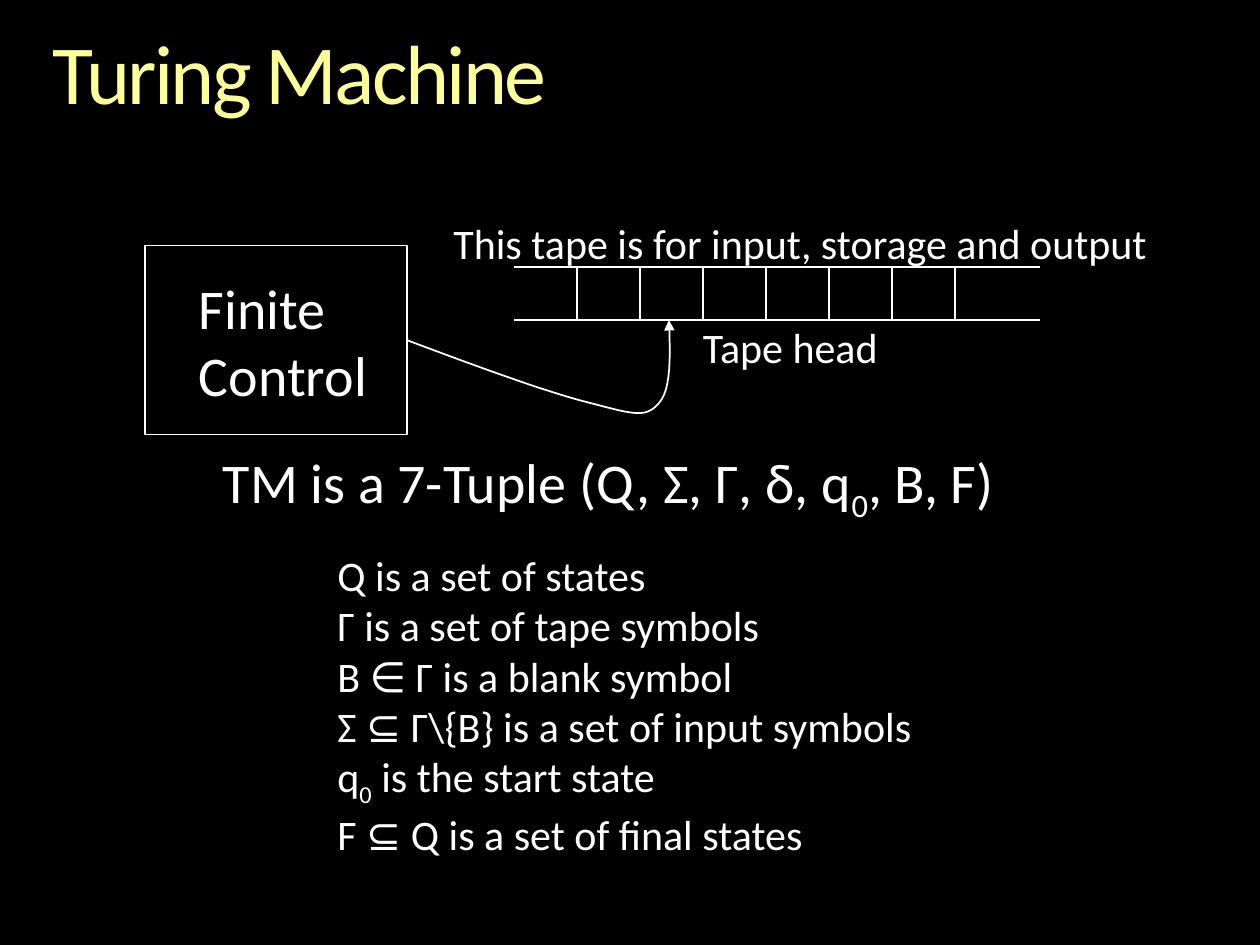
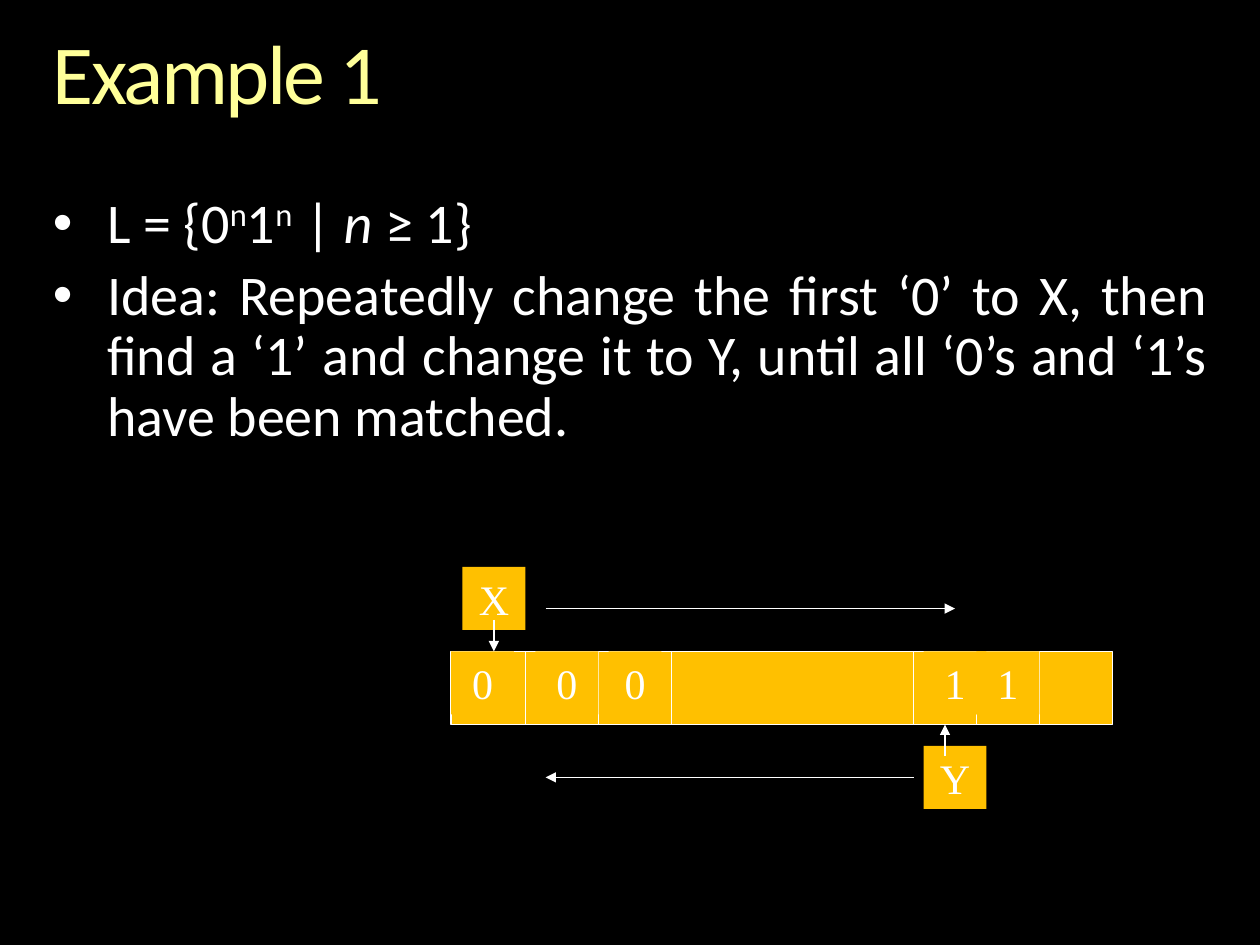
"""Two slides on Turing machines: the definition and a first example."""
from lxml.etree import SubElement
from pptx import Presentation
from pptx.dml.color import RGBColor
from pptx.enum.shapes import MSO_CONNECTOR, MSO_SHAPE
from pptx.enum.text import MSO_ANCHOR, MSO_AUTO_SIZE, PP_ALIGN
from pptx.oxml.ns import qn
from pptx.util import Inches, Pt

COLORS = {
    name: RGBColor.from_string(value)
    for name, value in {
        "background": "000000",
        "title": "FFFF99",
        "ink": "FFFFFF",
        "cell": "FFC000",
    }.items()
}
SUB, SUPER = -25000, 30000


def write(frame, paragraphs, size, font="Calibri"):
    """Fill a frame; each paragraph is a string or a list of (text, baseline)."""
    frame.word_wrap = True
    for number, parts in enumerate(paragraphs):
        paragraph = frame.paragraphs[0] if number == 0 else frame.add_paragraph()
        for text, baseline in [(parts, 0)] if isinstance(parts, str) else parts:
            run = paragraph.add_run()
            run.text = text
            run.font.size = Pt(size)
            run.font.name = font
            run.font.color.rgb = COLORS["ink"]
            if baseline:
                run._r.get_or_add_rPr().set("baseline", str(baseline))


def draw_line(slide, x1, y1, x2, y2, arrow=False):
    """Draw a thin straight line, with an arrowhead at its end if asked."""
    line = slide.shapes.add_connector(
        MSO_CONNECTOR.STRAIGHT, Inches(x1), Inches(y1), Inches(x2), Inches(y2))
    line.line.color.rgb = COLORS["ink"]
    line.line.width = Pt(0.75)
    if arrow:
        SubElement(line.line._get_or_add_ln(), qn("a:tailEnd"), type="triangle")
    SubElement(line._element.spPr, qn("a:effectLst"))


prs = Presentation()
prs.slide_width, prs.slide_height = Inches(10), Inches(7.5)
prs.slide_master.background.fill.solid()
prs.slide_master.background.fill.fore_color.rgb = COLORS["background"]

slides = []
for heading in ("Turing Machine", "Example 1"):
    slide = prs.slides.add_slide(prs.slide_layouts[5])
    title = slide.shapes.title
    title.left, title.top = Inches(0.42), Inches(0.25)
    title.width, title.height = Inches(9.17), Inches(0.73)
    frame = title.text_frame
    frame.text = heading
    frame.auto_size = MSO_AUTO_SIZE.NONE
    frame.vertical_anchor = MSO_ANCHOR.TOP
    frame.margin_left = frame.margin_right = 0
    frame.margin_top = frame.margin_bottom = 0
    paragraph = frame.paragraphs[0]
    paragraph.alignment = PP_ALIGN.LEFT
    paragraph.line_spacing = 0.9
    run = paragraph.runs[0]
    run.font.size = Pt(48)
    run.font.name = "Calibri"
    run.font.color.rgb = COLORS["title"]
    run._r.get_or_add_rPr().set("spc", "-150")
    slides.append(slide)
machine, example = slides

control = machine.shapes.add_shape(
    MSO_SHAPE.RECTANGLE, Inches(1.15), Inches(1.95), Inches(2.08), Inches(1.5))
control.shadow.inherit = False
control.fill.background()
control.line.color.rgb = COLORS["ink"]
control.line.width = Pt(0.75)

tape_top, tape_bottom = 2.12, 2.54
for divider in range(7):
    x = 4.58 + 0.5 * divider
    draw_line(machine, x, tape_top, x, tape_bottom)
for y in (tape_top, tape_bottom):
    draw_line(machine, 4.08, y, 8.25, y)

head_curves = [
    [(3.23, 2.7), (3.79, 2.91), (4.36, 3.12), (4.69, 3.2)],
    [(4.69, 3.2), (5.03, 3.29), (5.13, 3.32), (5.23, 3.2)],
    [(5.23, 3.2), (5.33, 3.09), (5.32, 2.82), (5.31, 2.54)],
]
head_points = []
for curve in head_curves:
    for step in range(1, 13):
        t = step / 12
        weights = ((1 - t) ** 3, 3 * t * (1 - t) ** 2, 3 * t * t * (1 - t), t ** 3)
        head_points.append(tuple(
            Inches(sum(w * point[axis] for w, point in zip(weights, curve)))
            for axis in (0, 1)))
builder = machine.shapes.build_freeform(Inches(3.23), Inches(2.7))
builder.add_line_segments(head_points, close=False)
head_arrow = builder.convert_to_shape()
head_arrow.shadow.inherit = False
head_arrow.fill.background()
head_arrow.line.color.rgb = COLORS["ink"]
head_arrow.line.width = Pt(1)
SubElement(head_arrow.line._get_or_add_ln(), qn("a:tailEnd"), type="triangle")

machine_texts = [
    (1.48, 2.12, 1.63, 1.17, 32, ["Finite", "Control"]),
    (3.5, 1.68, 6.17, 0.5, 24, ["This tape is for input, storage and output"]),
    (1.67, 3.5, 7.25, 0.63, 32,
     [[("TM is a 7-Tuple (Q, Σ, Γ, δ, q", 0), ("0", SUB), (", B, F)", 0)]]),
    (2.58, 4.31, 4.86, 2.52, 24, [
        "Q is a set of states",
        "Γ is a set of tape symbols",
        "B ∈ Γ is a blank symbol",
        "Σ ⊆ Γ\\{B} is a set of input symbols",
        [("q", 0), ("0", SUB), (" is the start state", 0)],
        "F ⊆ Q is a set of final states",
    ]),
    (5.48, 2.5, 1.8, 0.5, 24, ["Tape head"]),
]
for *box, size, paragraphs in machine_texts:
    label = machine.shapes.add_textbox(*map(Inches, box))
    write(label.text_frame, paragraphs, size)

idea = example.shapes.add_textbox(
    Inches(0.42), Inches(1.55), Inches(9.17), Inches(2.05)).text_frame
idea.margin_left = idea.margin_right = idea.margin_top = idea.margin_bottom = 0
write(idea, [
    [("L = {0", 0), ("n", SUPER), ("1", 0), ("n", SUPER),
     (" | ", 0), ("n ", 0), ("≥ 1}", 0)],
    "Idea: Repeatedly change the first ‘0’ to X, then find a ‘1’ and change it "
    "to Y, until all ‘0’s and ‘1’s have been matched.",
], 32)
idea.paragraphs[0].runs[5].font.italic = True
for paragraph in idea.paragraphs:
    paragraph.line_spacing = 0.9
    properties = paragraph._p.get_or_add_pPr()
    properties.set("marL", str(Inches(0.43)))
    properties.set("indent", str(-Inches(0.43)))
    SubElement(properties, qn("a:buFont"), typeface="Arial")
    SubElement(properties, qn("a:buChar"), char="•")
idea.paragraphs[1].space_before = Pt(6.4)
idea.paragraphs[1].alignment = PP_ALIGN.JUSTIFY

tape_top, tape_bottom = 5.17, 5.75
tape = example.shapes.add_shape(
    MSO_SHAPE.RECTANGLE, Inches(3.58), Inches(tape_top), Inches(5.25), Inches(0.58))
tape.shadow.inherit = False
tape.fill.solid()
tape.fill.fore_color.rgb = COLORS["cell"]
tape.line.color.rgb = COLORS["ink"]
tape.line.width = Pt(0.75)
for x in (4.17, 4.75, 5.33, 7.25, 7.75, 8.25):
    draw_line(example, x, tape_top, x, tape_bottom)

symbols = [
    ("0", 3.58, tape_top, 0.5),
    ("0", 4.25, tape_top, 0.5),
    ("0", 4.83, tape_top, 0.42),
    ("1", 7.33, tape_top, 0.5),
    ("1", 7.75, tape_top, 0.5),
    ("X", 3.67, 4.5, 0.5),
    ("Y", 7.33, 5.92, 0.5),
]
for symbol, x, y, width in symbols:
    cell = example.shapes.add_shape(
        MSO_SHAPE.RECTANGLE, Inches(x), Inches(y), Inches(width), Inches(0.5))
    cell.shadow.inherit = False
    cell.fill.solid()
    cell.fill.fore_color.rgb = COLORS["cell"]
    cell.line.fill.background()
    write(cell.text_frame, [symbol], 24, "Times New Roman")
    cell.text_frame.word_wrap = False
    cell.text_frame.vertical_anchor = MSO_ANCHOR.MIDDLE
    cell.text_frame.paragraphs[0].alignment = PP_ALIGN.CENTER

for move in [
    (4.33, 4.83, 7.58, 4.83),
    (7.25, 6.17, 4.33, 6.17),
    (3.92, 4.92, 3.92, tape_top),
    (7.5, 6, 7.5, tape_bottom),
]:
    draw_line(example, *move, arrow=True)

prs.save("out.pptx")
